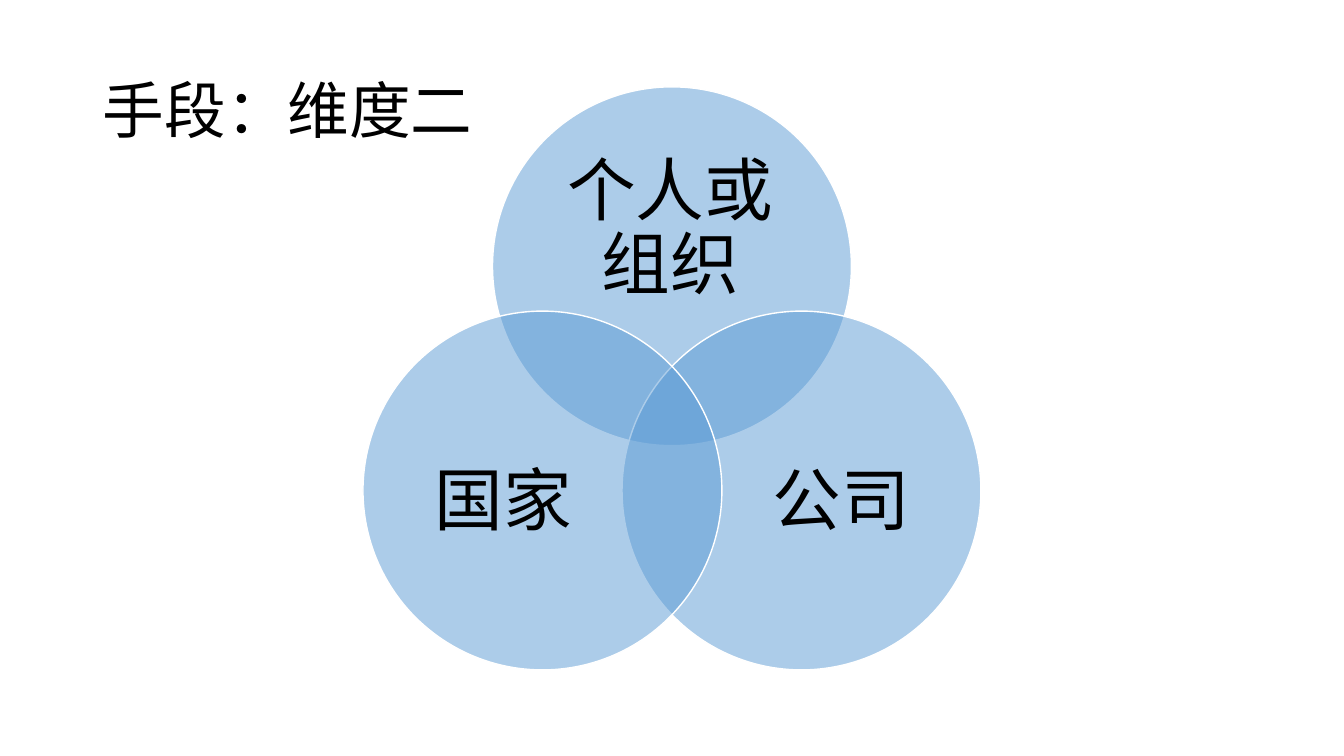
import math

import pptx
import pptx.dml.color
import pptx.enum.shapes
import pptx.enum.text
import pptx.util
from lxml import etree
from pptx.oxml.ns import qn

BLUE = pptx.dml.color.RGBColor(0x5B, 0x9B, 0xD5)
WHITE = pptx.dml.color.RGBColor(0xFF, 0xFF, 0xFF)
BLACK = pptx.dml.color.RGBColor(0x00, 0x00, 0x00)

# Circle direction in degrees, text, label frame as shares of the diameter
CIRCLES = [
    (-90, "个人或组织", (0.13, 0.17, 0.73, 0.46)),
    (30, "公司", (0.31, 0.26, 0.6, 0.55)),
    (150, "国家", (0.09, 0.26, 0.6, 0.55)),
]


class VennSlide:
    """Style and current slide; lengths are shares of the slide's size."""

    font_name = "Calibri"
    title_size = pptx.util.Pt(44)
    label_size = pptx.util.Pt(49)
    line_spacing = 0.9

    def __init__(self, deck):
        self.width, self.height = deck.slide_width, deck.slide_height
        self.page = deck.slides.add_slide(deck.slide_layouts[5])

    def set_text(self, box, text, size, alignment):
        frame = box.text_frame
        frame.text = text
        frame.word_wrap = True
        frame.auto_size = pptx.enum.text.MSO_AUTO_SIZE.NONE
        frame.vertical_anchor = pptx.enum.text.MSO_ANCHOR.MIDDLE
        para = frame.paragraphs[0]
        para.alignment = alignment
        para.line_spacing = self.line_spacing
        font = para.runs[0].font
        font.name, font.size = self.font_name, size
        font.color.rgb = BLACK

    def title(self, text, left, top, width, height):
        box = self.page.shapes.title
        box.left, box.width = int(left * self.width), int(width * self.width)
        box.top, box.height = int(top * self.height), int(height * self.height)
        self.set_text(box, text, self.title_size, pptx.enum.text.PP_ALIGN.LEFT)

    def circle(self, group, left, top, diameter):
        disc = group.shapes.add_shape(
            pptx.enum.shapes.MSO_SHAPE.OVAL, left, top, diameter, diameter)
        disc.shadow.inherit = False
        disc.fill.solid()
        disc.fill.fore_color.rgb = BLUE
        colour = disc.element.spPr.find(qn("a:solidFill"))[0]
        etree.SubElement(colour, qn("a:alpha")).set("val", "50000")
        disc.line.color.rgb = WHITE
        disc.line.width = pptx.util.Pt(1)

    def label(self, group, text, left, top, width, height):
        box = group.shapes.add_textbox(left, top, width, height)
        frame = box.text_frame
        frame.margin_left = frame.margin_right = 0
        frame.margin_top = frame.margin_bottom = 0
        self.set_text(box, text, self.label_size, pptx.enum.text.PP_ALIGN.CENTER)

    def venn(self, circles, center_x, center_y, diameter_share):
        group = self.page.shapes.add_group_shape()
        diameter = int(diameter_share * self.height)
        spread = diameter * 5 / 12
        for degrees, text, share in circles:
            angle = math.radians(degrees)
            middle_x = center_x * self.width + spread * math.cos(angle)
            middle_y = center_y * self.height + spread * math.sin(angle)
            left = int(middle_x - diameter / 2)
            top = int(middle_y - diameter / 2)
            self.circle(group, left, top, diameter)
            across, down, width, height = (int(part * diameter) for part in share)
            self.label(group, text, left + across, top + down, width, height)


def main():
    deck = pptx.Presentation()
    deck.slide_width = pptx.util.Inches(13.33)
    deck.slide_height = pptx.util.Inches(7.5)
    slide = VennSlide(deck)

    # Title
    slide.title("手段：维度二", 0.92 / 13.33, 0.4 / 7.5, 11.5 / 13.33, 1.45 / 7.5)

    # Three overlapping circles
    slide.venn(CIRCLES, 0.5, 0.55, 3.56 / 7.5)

    deck.save("out.pptx")


if __name__ == "__main__":
    main()
